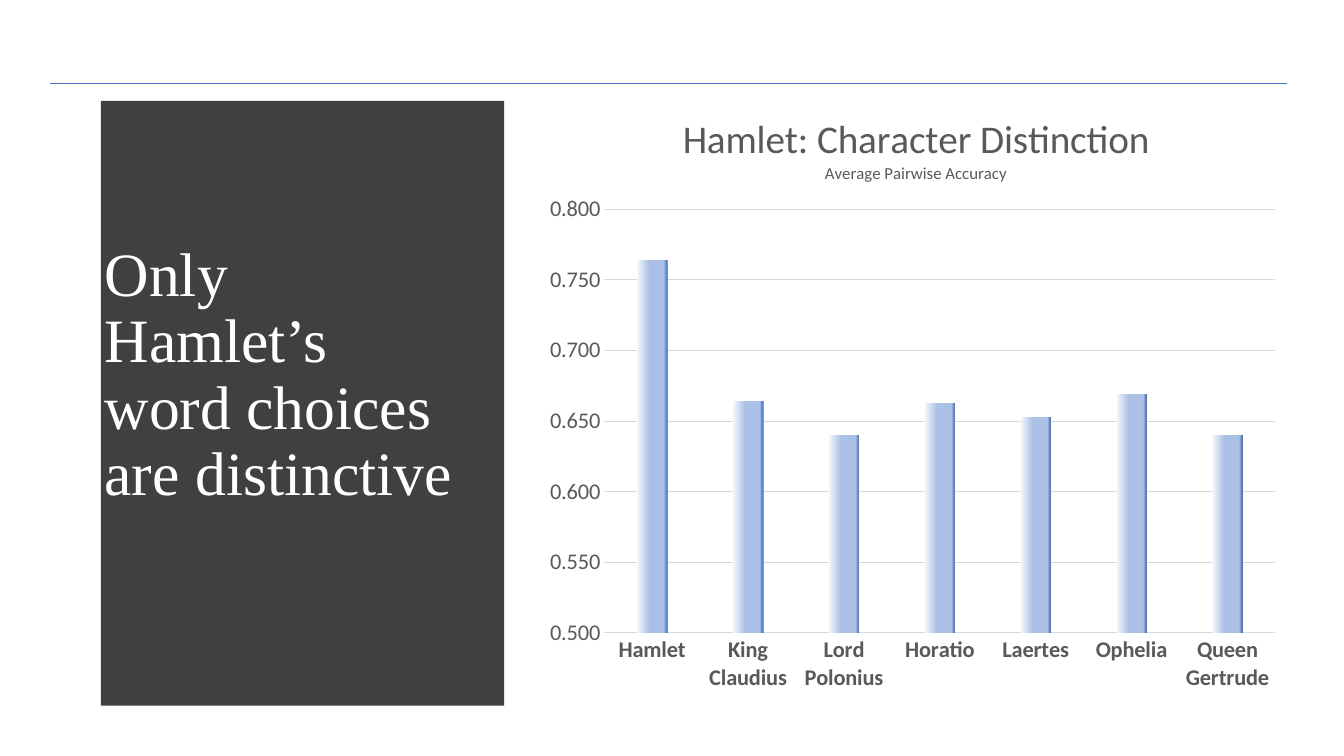
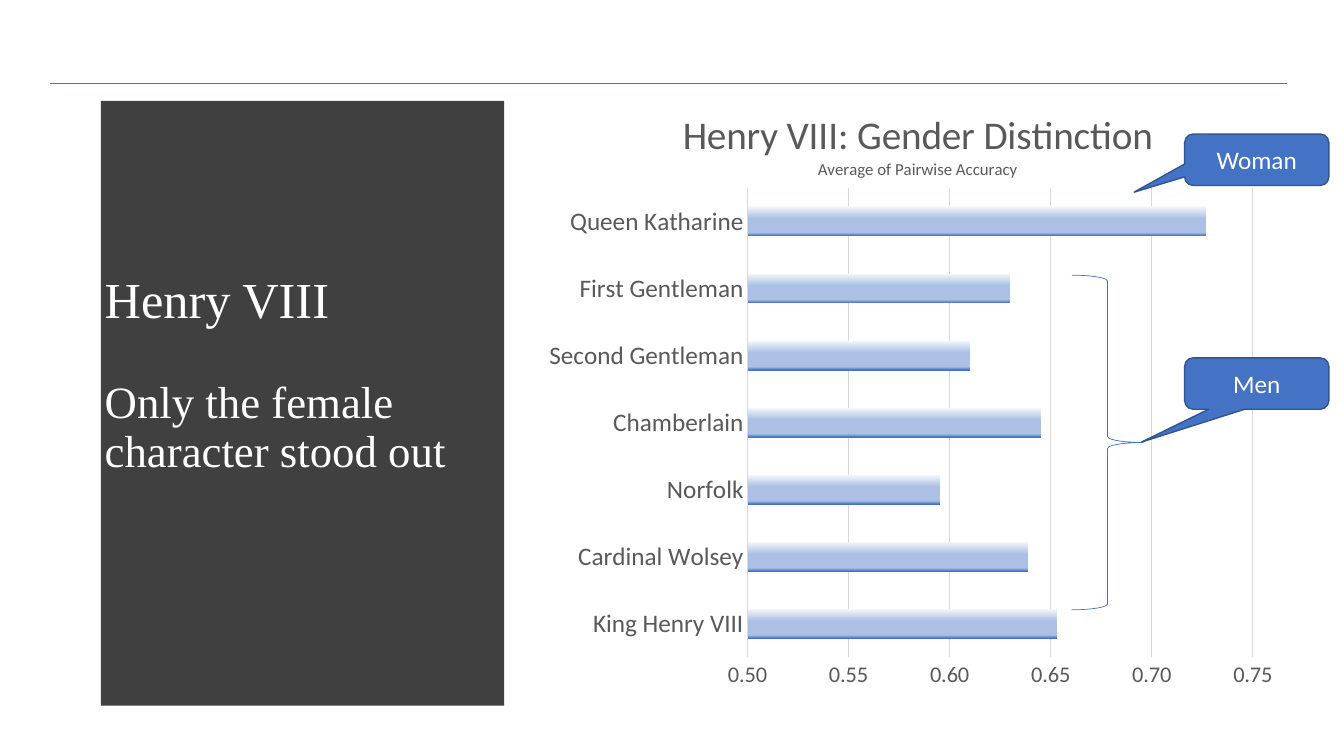
import pptx
import pptx.chart.data
import pptx.dml.color
import pptx.enum.chart
import pptx.enum.shapes
import pptx.enum.text
import pptx.oxml.ns
import pptx.util
from lxml import etree

Inches, Pt = pptx.util.Inches, pptx.util.Pt
qn = pptx.oxml.ns.qn
Kind = pptx.enum.chart.XL_CHART_TYPE
Shape = pptx.enum.shapes.MSO_SHAPE


def tint(code):
    return pptx.dml.color.RGBColor.from_string(code)


def stroke(line, code, width):
    line.color.rgb = tint(code)
    line.width = Pt(width)


def place(node, index, **share):
    """Set a manual layout on a chart part, as shares of the chart."""
    layout = node.find(qn("c:layout"))
    if layout is None:
        layout = etree.Element(qn("c:layout"))
        node.insert(index, layout)
    manual = etree.SubElement(layout, qn("c:manualLayout"))
    if "w" in share:
        etree.SubElement(manual, qn("c:layoutTarget")).set("val", "inner")
    for mode in ("xMode", "yMode"):
        etree.SubElement(manual, qn("c:" + mode)).set("val", "edge")
    for key, value in share.items():
        etree.SubElement(manual, qn("c:" + key)).set("val", str(value))


class Deck:
    serif, sans = "Times New Roman", "Calibri"
    blue, edge, dark = "4472C4", "325491", "404040"
    grey, grid, white = "595959", "D9D9D9", "FFFFFF"
    shine = [(0, "F6F8FC"), (41, "ABC0E4"), (89, "ABC0E4"), (100, blue)]

    def __init__(self):
        self.show = pptx.Presentation()
        self.show.slide_width = Inches(13.33)
        self.show.slide_height = Inches(7.5)

    def page(self, *lines):
        """Start a slide with its rule, dark panel and title lines."""
        self.slide = self.show.slides.add_slide(self.show.slide_layouts[6])
        self.shapes = self.slide.shapes
        self.rule()
        self.panel()
        self.title(lines)

    def rule(self):
        line = self.shapes.add_connector(
            pptx.enum.shapes.MSO_CONNECTOR.STRAIGHT,
            Inches(0.5), Inches(0.83), Inches(12.76), Inches(0.83))
        stroke(line.line, self.blue, 0.5)
        etree.SubElement(line._element.spPr, qn("a:effectLst"))

    def panel(self):
        """Draw the dark panel, whose right side is a parabola."""
        left, top, right, foot, bulge, steps = 0.53, 0.52, 5.08, 6.96, 0.24, 40
        curve = []
        for step in range(steps + 1):
            part = step / steps
            curve.append((right + bulge * (1 - (2 * part - 1) ** 2),
                          top + (foot - top) * part))
        form = self.shapes.build_freeform(left, top, scale=Inches(1))
        form.add_line_segments(curve + [(left, foot)], close=True)
        shape = form.convert_to_shape()
        shape.shadow.inherit = False
        shape.fill.solid()
        shape.fill.fore_color.rgb = tint(self.dark)
        shape.line.fill.background()

    def text(self, para, words, size, face, code):
        run = para.add_run()
        run.text = words
        run.font.size = Pt(size)
        run.font.name = face
        run.font.bold = False
        run.font.color.rgb = tint(code)

    def title(self, lines):
        box = self.shapes.add_textbox(
            Inches(0.94), Inches(1.11), Inches(3.74), Inches(5.24))
        frame = box.text_frame
        frame.word_wrap = True
        frame.vertical_anchor = pptx.enum.text.MSO_ANCHOR.MIDDLE
        for index, (words, size) in enumerate(lines):
            para = frame.add_paragraph() if index else frame.paragraphs[0]
            para.line_spacing = 0.9
            para.space_before = Pt(36 if index else 0)
            self.text(para, words, size, self.serif, self.white)

    def chart(self, kind, top, height, head, sub, data, form, peak, size,
              bold, gap, lap, angle, plot):
        table = pptx.chart.data.CategoryChartData()
        table.categories = list(data)
        table.add_series("Series 1", list(data.values()))
        chart = self.shapes.add_chart(
            kind, Inches(5.32), Inches(top), Inches(7.48), Inches(height),
            table).chart
        chart.has_legend = False
        chart.font.name = self.sans
        chart.font.size = Pt(10)
        frame = chart.chart_title.text_frame
        self.text(frame.paragraphs[0], head, 28, self.sans, self.grey)
        self.text(frame.add_paragraph(), sub, 12, self.sans, self.grey)
        place(chart.chart_title._element, 1, x=0.19, y=0.04)
        place(chart._chartSpace.find(".//" + qn("c:plotArea")), 0, **plot)

        self.axis(chart.category_axis, size, bold)
        stroke(chart.category_axis.format.line, self.grid, 0.75)
        scale = chart.value_axis
        self.axis(scale, 16, False)
        scale.format.line.fill.background()
        scale.minimum_scale, scale.maximum_scale = 0.5, peak
        scale.major_unit = 0.05
        scale.has_major_gridlines = True
        stroke(scale.major_gridlines.format.line, self.grid, 0.75)
        scale.tick_labels.number_format = form
        scale.tick_labels.number_format_is_linked = False

        bars = chart.plots[0]
        bars.vary_by_categories = False
        bars.gap_width, bars.overlap = gap, lap
        self.gloss(bars.series[0], angle)

    def axis(self, axis, size, bold):
        none = pptx.enum.chart.XL_TICK_MARK.NONE
        axis.major_tick_mark = axis.minor_tick_mark = none
        axis.has_major_gridlines = False
        font = axis.tick_labels.font
        font.size, font.bold, font.name = Pt(size), bold, self.sans
        font.color.rgb = tint(self.grey)

    def gloss(self, series, angle):
        """Fill the bars with the four-stop gradient."""
        fill = series.format.fill
        fill.gradient()
        fill.gradient_angle = angle
        stops = series._element.find(".//" + qn("a:gsLst"))
        for old in list(stops):
            stops.remove(old)
        for part, code in self.shine:
            stop = etree.SubElement(stops, qn("a:gs"), pos=str(part * 1000))
            etree.SubElement(stop, qn("a:srgbClr"), val=code)
        series.format.line.fill.background()

    def bubble(self, words, top, tip):
        shape = self.shapes.add_shape(
            Shape.ROUNDED_RECTANGULAR_CALLOUT,
            Inches(11.75), Inches(top), Inches(1.43), Inches(0.51))
        shape.shadow.inherit = False
        shape.adjustments[0], shape.adjustments[1] = tip
        shape.fill.solid()
        shape.fill.fore_color.rgb = tint(self.blue)
        stroke(shape.line, self.edge, 1)
        frame = shape.text_frame
        frame.vertical_anchor = pptx.enum.text.MSO_ANCHOR.MIDDLE
        para = frame.paragraphs[0]
        para.alignment = pptx.enum.text.PP_ALIGN.CENTER
        self.text(para, words, 18, self.sans, self.white)

    def brace(self, left, top, width, height):
        shape = self.shapes.add_shape(
            Shape.RIGHT_BRACE,
            Inches(left), Inches(top), Inches(width), Inches(height))
        shape.shadow.inherit = False
        shape.fill.background()
        stroke(shape.line, self.blue, 0.5)


def main():
    deck = Deck()

    deck.page(("Only Hamlet’s word choices are distinctive", 44))
    deck.chart(
        Kind.COLUMN_CLUSTERED, 0.86, 6.09,
        "Hamlet: Character Distinction", "Average Pairwise Accuracy",
        {"Hamlet": 0.764, "King Claudius": 0.664, "Lord Polonius": 0.64,
         "Horatio": 0.663, "Laertes": 0.653, "Ophelia": 0.669,
         "Queen Gertrude": 0.64},
        form="0.000", peak=0.8, size=16, bold=True, gap=219, lap=-27, angle=0,
        plot={"x": 0.09, "y": 0.2, "w": 0.89, "h": 0.69})

    deck.page(("Henry VIII", 36), ("Only the female character stood out", 32))
    deck.chart(
        Kind.BAR_CLUSTERED, 0.82, 6.13,
        "Henry VIII: Gender Distinction", "Average of Pairwise Accuracy",
        {"King Henry VIII": 0.653, "Cardinal Wolsey": 0.639, "Norfolk": 0.595,
         "Chamberlain": 0.645, "Second Gentleman": 0.61,
         "First Gentleman": 0.63, "Queen Katharine": 0.727},
        form="0.00", peak=0.75, size=18, bold=False, gap=128, lap=0, angle=270,
        plot={"x": 0.28, "y": 0.17, "w": 0.67, "h": 0.76})
    deck.bubble("Woman", 1.33, (-0.85, 0.63))
    deck.bubble("Men", 3.55, (-0.8, 1.14))
    deck.brace(10.63, 2.73, 0.71, 3.32)

    deck.show.save("out.pptx")


if __name__ == "__main__":
    main()
